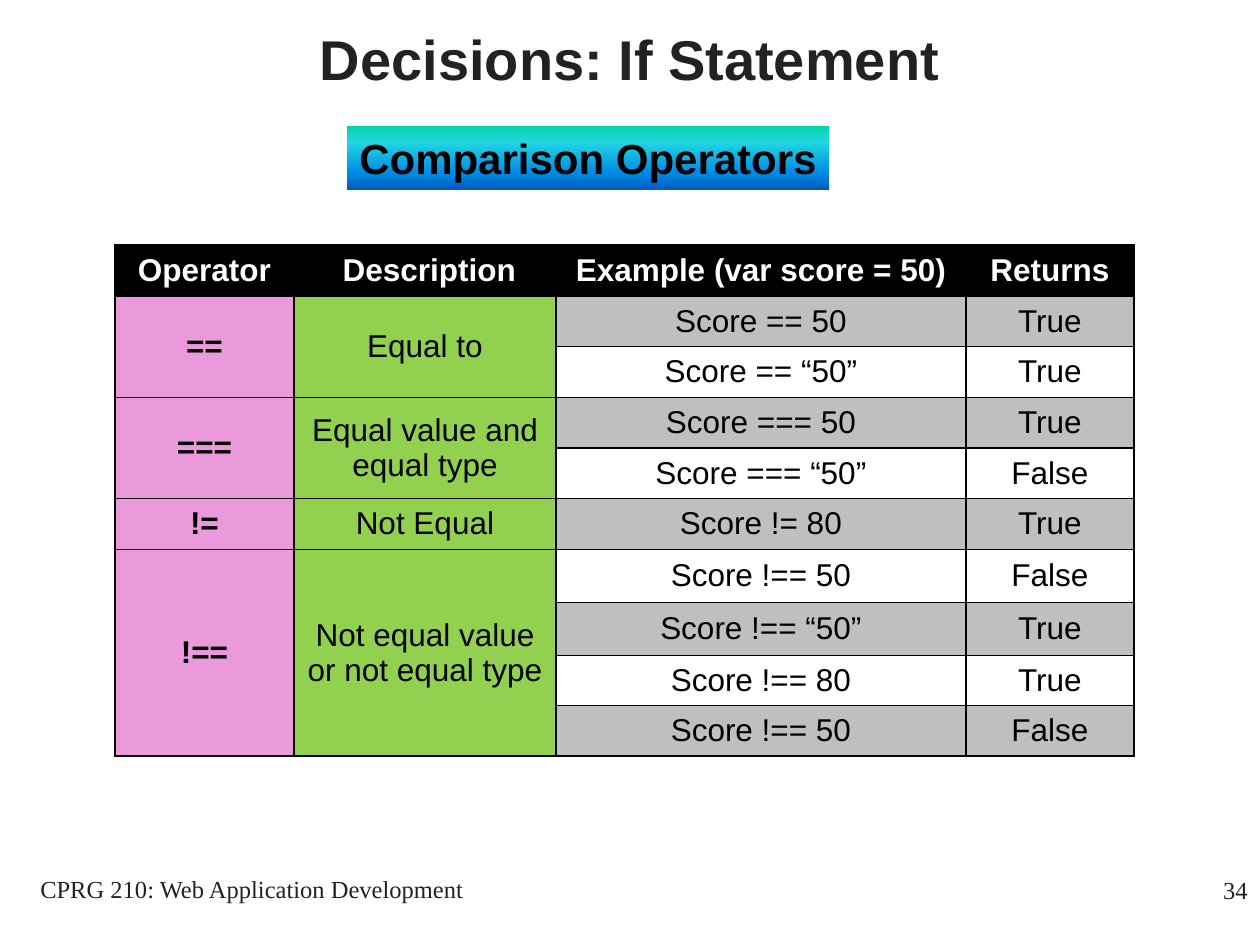
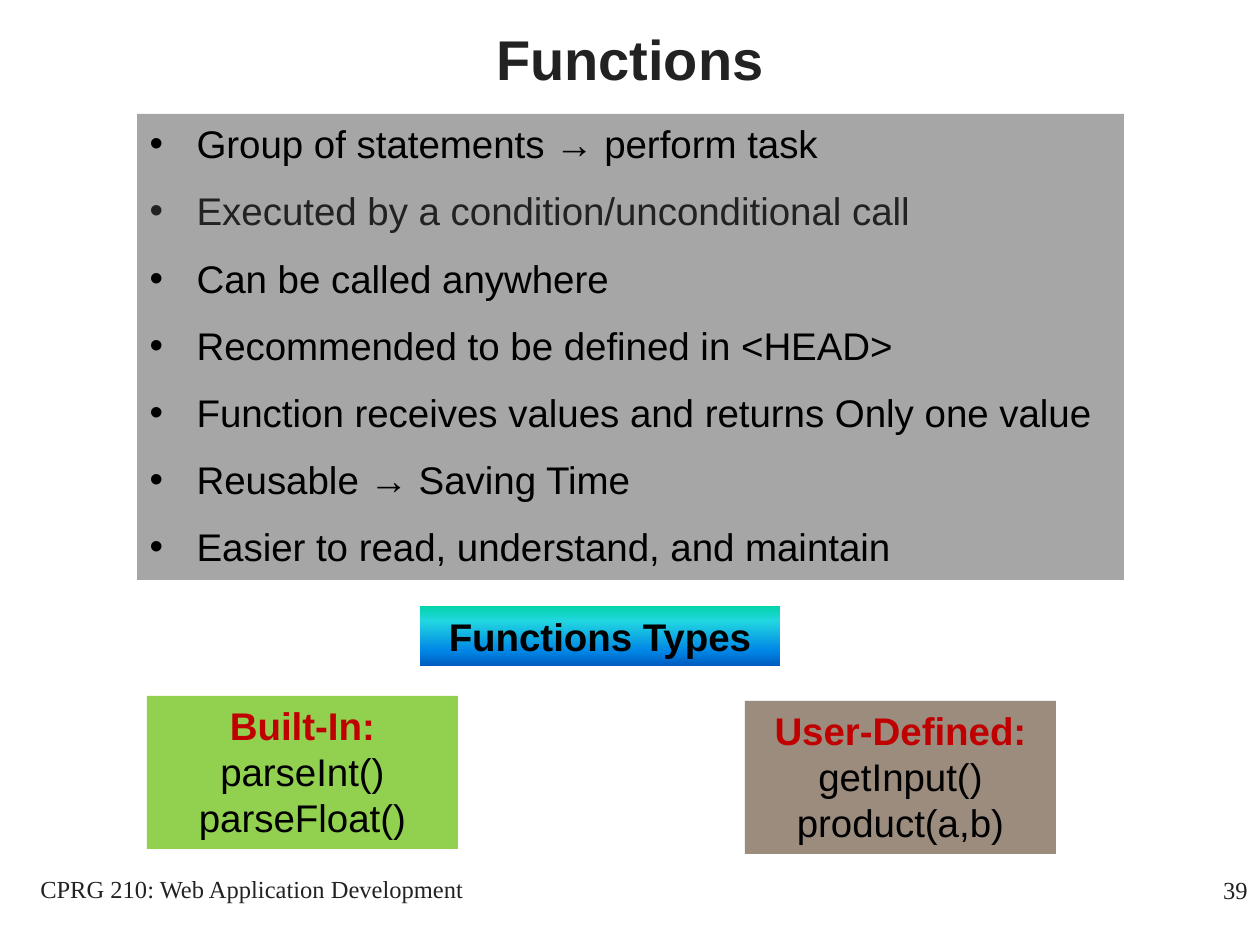
from lxml import etree
from pptx import Presentation
from pptx.dml.color import RGBColor
from pptx.enum.shapes import MSO_SHAPE
from pptx.enum.text import MSO_ANCHOR, MSO_AUTO_SIZE, PP_ALIGN
from pptx.oxml.ns import qn
from pptx.util import Pt

RECT = MSO_SHAPE.RECTANGLE
LEFT, MID, RIGHT = PP_ALIGN.LEFT, PP_ALIGN.CENTER, PP_ALIGN.RIGHT
TOP, CENTER = MSO_ANCHOR.TOP, MSO_ANCHOR.MIDDLE

BLACK = RGBColor(0x00, 0x00, 0x00)
WHITE = RGBColor(0xFF, 0xFF, 0xFF)
INK = RGBColor(0x22, 0x22, 0x22)
RED = RGBColor(0xC0, 0x00, 0x00)
PINK = RGBColor(0xEA, 0x9A, 0xDB)
GREEN = RGBColor(0x92, 0xD0, 0x50)
SILVER = RGBColor(0xBF, 0xBF, 0xBF)
GRAY = RGBColor(0xA6, 0xA6, 0xA6)
BROWN = RGBColor(0x6E, 0x56, 0x42)
BLUES = [(0, RGBColor(0x03, 0xD4, 0xA8)), (25, RGBColor(0x21, 0xD6, 0xE0)),
         (75, RGBColor(0x00, 0x87, 0xE6)), (100, RGBColor(0x00, 0x5C, 0xBF))]

PX = 914400 / 126  # EMU in one px


def write(frame, lines, size, color=BLACK, bold=False, align=MID,
          font="Arial"):
    """Fill a text frame with one paragraph per line, all in one style."""
    frame.word_wrap = True
    frame.text = "\n".join(lines)
    for para in frame.paragraphs:
        para.alignment = align
        para.line_spacing = 1.0
        for run in para.runs:
            run.font.name = font
            run.font.size = Pt(size)
            run.font.bold = bold
            run.font.color.rgb = color


def block(slide, area):
    """Add a plain rectangle without line or shadow, text at the top."""
    shape = slide.shapes.add_shape(RECT, *[int(n * PX) for n in area])
    shape.shadow.inherit = False
    shape.line.fill.background()
    shape.text_frame.vertical_anchor = TOP
    return shape


deck = Presentation()
deck.slide_width = int(1260 * PX)
deck.slide_height = int(945 * PX)

# Title, blue band and footers, alike on both slides
SLIDES = [
    (5, "Decisions: If Statement", "34",
     "Comparison Operators", 24, (347, 126, 482, 64)),
    (1, "Functions", "39",
     "Functions Types", 22, (420, 606, 360, 60)),
]
slides = []
for layout, title, number, label, size, place in SLIDES:
    slide = deck.slides.add_slide(deck.slide_layouts[layout])
    slides.append(slide)
    head = slide.shapes.title
    head.left, head.top = 0, int(-20 * PX)
    head.width, head.height = int(1260 * PX), int(157 * PX)
    head.text_frame.auto_size = MSO_AUTO_SIZE.NONE
    head.text_frame.vertical_anchor = CENTER
    write(head.text_frame, [title], 32, INK, True)

    band = block(slide, place)
    band.fill.gradient()
    band.fill.gradient_angle = 270
    stops = band._element.spPr.find(".//" + qn("a:gsLst"))
    stops.clear()
    for share, color in BLUES:
        stop = etree.SubElement(stops, qn("a:gs"), pos=str(share * 1000))
        etree.SubElement(stop, qn("a:srgbClr"), val=str(color))
    write(band.text_frame, [label], size, bold=True)
    band.text_frame.word_wrap = False
    band.text_frame.vertical_anchor = CENTER

    for area, text, align in [
            ((0, 868, 504, 63), "CPRG 210: Web Application Development", MID),
            ((998, 869, 262, 63), number, RIGHT)]:
        note = slide.shapes.add_textbox(*[int(n * PX) for n in area])
        write(note.text_frame, [text], 14, INK, align=align,
              font="Times New Roman")
first, second = slides

# Comparison operators
HEADS = ["Operator", " Description", "Example (var score = 50)", "Returns"]
GROUPS = [
    ("==", "Equal to", [("Score == 50", "True"), ("Score == “50”", "True")]),
    ("===", "Equal value and equal type",
     [("Score === 50", "True"), ("Score === “50”", "False")]),
    ("!=", "Not Equal", [("Score != 80", "True")]),
    ("!==", "Not equal value or not equal type",
     [("Score !== 50", "False"), ("Score !== “50”", "True"),
      ("Score !== 80", "True"), ("Score !== 50", "False")]),
]
WIDTHS = [179, 262, 410, 168]
HEIGHTS = [51, 50, 51, 50, 50, 51, 53, 53, 50, 50]

rows = [HEADS]
spans = []
for sign, about, cases in GROUPS:
    spans.append((len(rows), len(rows) + len(cases) - 1))
    for i, case in enumerate(cases):
        rows.append([*((sign, about) if i == 0 else ("", "")), *case])

area = (115, 245, sum(WIDTHS), sum(HEIGHTS))
grid = first.shapes.add_table(len(rows), len(WIDTHS),
                              *[int(n * PX) for n in area]).table
for col, width in zip(grid.columns, WIDTHS):
    col.width = int(width * PX)
for row, height in zip(grid.rows, HEIGHTS):
    row.height = int(height * PX)

for r, texts in enumerate(rows):
    shade = SILVER if r % 2 else WHITE
    fills = [PINK, GREEN, shade, shade] if r else [BLACK] * 4
    for c, text in enumerate(texts):
        cell = grid.cell(r, c)
        cell.vertical_anchor = CENTER
        cell.fill.solid()
        cell.fill.fore_color.rgb = fills[c]
        write(cell.text_frame, [text], 18, BLACK if r else WHITE,
              r == 0 or c == 0)
        props = cell._tc.get_or_add_tcPr()
        for i, side in enumerate(["a:lnL", "a:lnR", "a:lnT", "a:lnB"]):
            edge = etree.Element(qn(side), w=str(Pt(1)))
            paint = etree.SubElement(edge, qn("a:solidFill"))
            etree.SubElement(paint, qn("a:srgbClr"), val=str(BLACK))
            props.insert(i, edge)
for start, end in spans:
    if end > start:
        for c in (0, 1):
            grid.cell(start, c).merge(grid.cell(end, c))

# Functions
POINTS = [
    "Group of statements → perform task",
    "Executed by a condition/unconditional call",
    "Can be called anywhere",
    "Recommended to be defined in <HEAD>",
    "Function receives values and returns Only one value",
    "Reusable → Saving Time",
    "Easier to read, understand, and maintain",
]
body = second.placeholders[1]
body.left, body.top = int(137 * PX), int(114 * PX)
body.width, body.height = int(987 * PX), int(466 * PX)
body.fill.solid()
body.fill.fore_color.rgb = GRAY
body.text_frame.auto_size = MSO_AUTO_SIZE.NONE
write(body.text_frame, POINTS, 22, align=LEFT)
for para in body.text_frame.paragraphs:
    para.space_before, para.space_after = Pt(0), Pt(12)
    props = para._p.get_or_add_pPr()
    props.set("marL", str(int(47 * PX)))
    props.set("indent", str(int(-47 * PX)))
    etree.SubElement(props, qn("a:buChar"), char="•")
body.text_frame.paragraphs[1].runs[0].font.color.rgb = INK

KINDS = [
    ((147, 696, 311, 153), GREEN, ["Built-In:", "parseInt() parseFloat()"]),
    ((745, 701, 311, 153), BROWN,
     ["User-Defined:", "getInput()", "product(a,b)"]),
]
for area, fill, lines in KINDS:
    card = block(second, area)
    card.fill.solid()
    card.fill.fore_color.rgb = fill
    write(card.text_frame, lines, 22)
    lead = card.text_frame.paragraphs[0].runs[0].font
    lead.bold = True
    lead.color.rgb = RED
    if fill == BROWN:
        tint = card._element.spPr.find(".//" + qn("a:srgbClr"))
        etree.SubElement(tint, qn("a:alpha"), val="68000")

deck.save("out.pptx")
